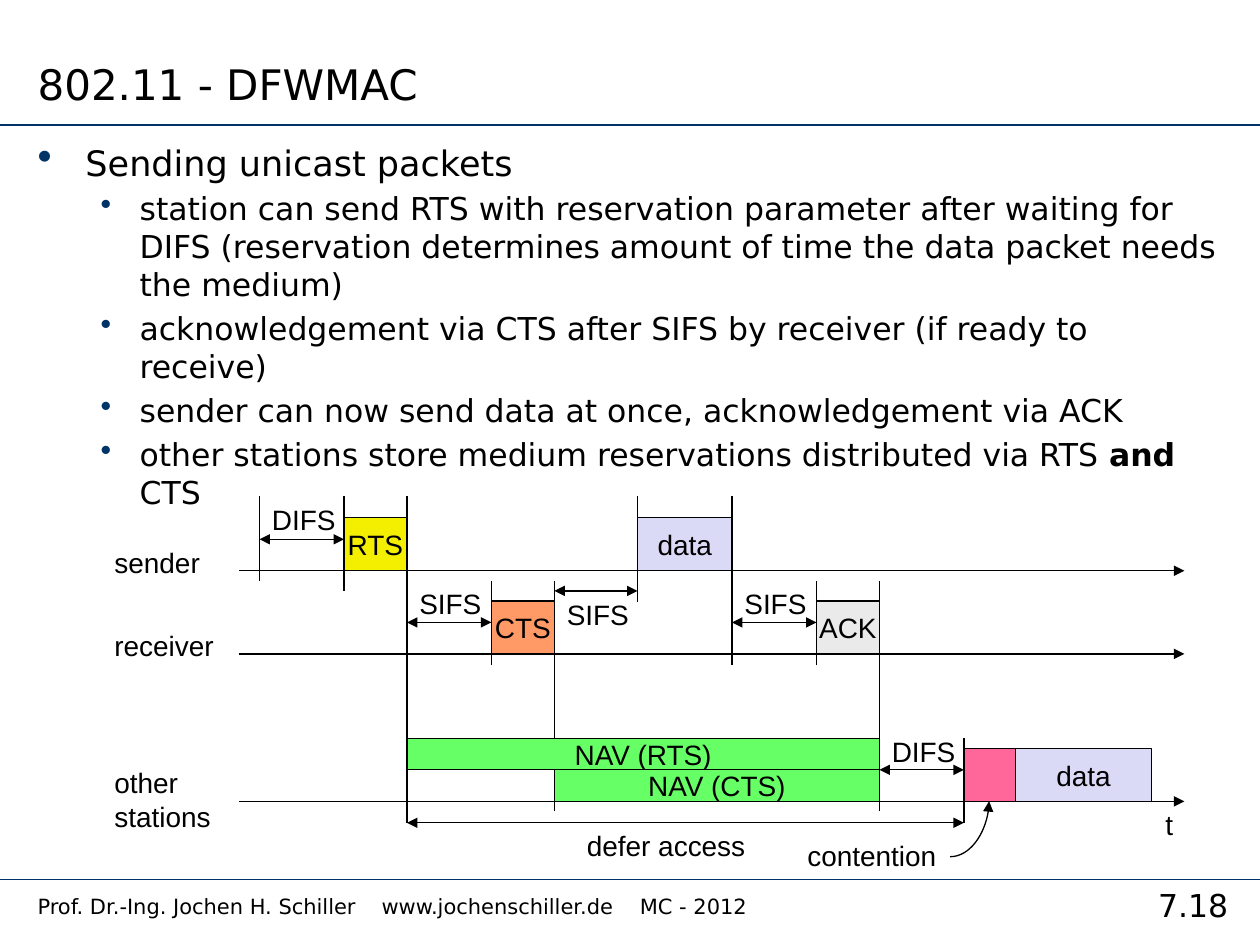
from typing import NamedTuple

import pptx
import pptx.dml.color
import pptx.enum.shapes
import pptx.enum.text
import pptx.oxml.ns
import pptx.util
from lxml import etree

Inches = pptx.util.Inches
Pt = pptx.util.Pt
PP = pptx.enum.text.PP_ALIGN
ANCHOR = pptx.enum.text.MSO_ANCHOR
AUTO = pptx.enum.text.MSO_AUTO_SIZE
CONN = pptx.enum.shapes.MSO_CONNECTOR
RECT = pptx.enum.shapes.MSO_SHAPE.RECTANGLE
qn = pptx.oxml.ns.qn

BLACK, NAVY, LILAC, GREEN = "000000", "003366", "DADAF6", "66FF66"
BODY_FONT, CHART_FONT = "DejaVu Sans", "Arial"

# Time axes (y) and instants (x)
SENDER, RECEIVER, OTHERS = 4.53, 5.19, 6.36
START, RTS, RTS_END, CTS, CTS_END = 2.06, 2.73, 3.23, 3.9, 4.4
DATA, DATA_END, ACK, ACK_END, CONTENTION = 5.06, 5.81, 6.48, 6.98, 7.65
NEXT_DATA, NEXT_END = 8.06, 9.14
AXIS_START, AXIS_END = 1.9, 9.4
FRAME_H, NAV_H = 0.42, 0.25
DEFER_Y = 6.53


class Frame(NamedTuple):
    text: str
    x: float
    end: float
    bottom: float
    color: str
    h: float = FRAME_H


class Label(NamedTuple):
    text: str
    x: float
    y: float
    w: float
    h: float = 0.37


class Span(NamedTuple):
    x: float
    end: float
    y: float


class Marker(NamedTuple):
    x: float
    top: float
    bottom: float


class Bullet(NamedTuple):
    runs: tuple
    size: int = 18
    margin: float = 0.81
    indent: float = 0.31
    level: int = 1
    scale: int = 100


def rgb(color: str):
    return pptx.dml.color.RGBColor.from_string(color)


def apply(obj, formats: dict) -> None:
    for name, value in formats.items():
        setattr(obj, name, value)


def add_run(p, text: str, size: int, font: str, bold: bool = False) -> None:
    r = p.add_run()
    r.text = text
    apply(r.font, {"name": font, "size": Pt(size), "bold": bold})
    r.font.color.rgb = rgb(BLACK)


def text_box(s, x: float, y: float, w: float, h: float, text: str = "",
             size: int = 16, font: str = CHART_FONT, align=PP.LEFT, **formats):
    tf = s.shapes.add_textbox(Inches(x), Inches(y), Inches(w), Inches(h)).text_frame
    apply(tf, {"word_wrap": True, "auto_size": AUTO.NONE} | formats)
    for i, line in enumerate(text.split("\n") if text else []):
        p = tf.add_paragraph() if i else tf.paragraphs[0]
        p.alignment = align
        add_run(p, line, size, font)
    return tf


def line(s, x1: float, y1: float, x2: float, y2: float, color: str = BLACK,
         width: float = 0.75, ends: tuple = (), kind=CONN.STRAIGHT):
    c = s.shapes.add_connector(kind, Inches(x1), Inches(y1), Inches(x2), Inches(y2))
    c.line.width = Pt(width)
    c.line.color.rgb = rgb(color)
    sp_pr = c._element.spPr
    for end in ends:
        etree.SubElement(sp_pr.find(qn("a:ln")), qn(f"a:{end}"), type="triangle")
    etree.SubElement(sp_pr, qn("a:effectLst"))
    return c


def draw_frame(s, f: Frame) -> None:
    sp = s.shapes.add_shape(RECT, Inches(f.x), Inches(f.bottom - f.h),
                            Inches(f.end - f.x), Inches(f.h))
    sp.shadow.inherit = False
    sp.fill.solid()
    sp.fill.fore_color.rgb = rgb(f.color)
    sp.line.width = Pt(0.75)
    sp.line.color.rgb = rgb(BLACK)
    if f.text:
        tf = sp.text_frame
        apply(tf, {"word_wrap": False, "vertical_anchor": ANCHOR.MIDDLE})
        tf.paragraphs[0].alignment = PP.CENTER
        add_run(tf.paragraphs[0], f.text, 16, CHART_FONT)


def draw_bullet(p, b: Bullet) -> None:
    apply(p, {"level": b.level, "space_before": Pt(b.size * 0.2)})
    pr = p._p.get_or_add_pPr()
    pr.set("marL", str(Inches(b.margin)))
    pr.set("indent", str(-Inches(b.indent)))
    etree.SubElement(etree.SubElement(pr, qn("a:buClr")), qn("a:srgbClr"), val=NAVY)
    etree.SubElement(pr, qn("a:buSzPct"), val=str(b.scale * 1000))
    etree.SubElement(pr, qn("a:buChar"), char="•")
    for text, bold in b.runs:
        add_run(p, text, b.size, BODY_FONT, bold)


BULLETS = [
    Bullet((("Sending unicast packets", False),), 20, 0.38, 0.38, 0, 120),
    Bullet((("station can send RTS with reservation parameter after waiting for DIFS "
             "(reservation determines amount of time the data packet needs the medium)",
             False),)),
    Bullet((("acknowledgement via CTS after SIFS by receiver (if ready to receive)", False),)),
    Bullet((("sender can now send data at once, acknowledgement via ACK", False),)),
    Bullet((("other stations store medium reservations distributed via RTS ", False),
            ("and", True), (" CTS", False))),
]
FRAMES = [
    Frame("RTS", RTS, RTS_END, SENDER, "F4EE00"),
    Frame("data", DATA, DATA_END, SENDER, LILAC),
    Frame("CTS", CTS, CTS_END, RECEIVER, "FF9966"),
    Frame("ACK", ACK, ACK_END, RECEIVER, "EAEAEA"),
    Frame("", CONTENTION, NEXT_DATA, OTHERS, "FF6699"),
    Frame("data", NEXT_DATA, NEXT_END, OTHERS, LILAC),
    Frame("NAV (RTS)", RTS_END, ACK_END, OTHERS - NAV_H, GREEN, NAV_H),
    Frame("NAV (CTS)", CTS_END, ACK_END, OTHERS, GREEN, NAV_H),
]
MARKERS = [
    Marker(START, 3.94, 4.61), Marker(RTS, 3.94, 4.69), Marker(RTS_END, 3.94, DEFER_Y),
    Marker(CTS, 4.61, 5.28), Marker(CTS_END, 4.61, 6.44), Marker(DATA, 3.94, 4.78),
    Marker(DATA_END, 3.94, 5.28), Marker(ACK, 4.61, 5.28), Marker(ACK_END, 4.61, 6.44),
    Marker(CONTENTION, 5.86, DEFER_Y),
]
SPANS = [
    Span(START, RTS, 4.28), Span(RTS_END, CTS, 4.94), Span(CTS_END, DATA, 4.69),
    Span(DATA_END, ACK, 4.94), Span(ACK_END, CONTENTION, 6.11),
    Span(RTS_END, CONTENTION, DEFER_Y),
]
LABELS = [
    Label("sender", 0.81, 4.28, 0.88), Label("receiver", 0.81, 4.94, 0.99),
    Label("other\nstations", 0.81, 6.03, 0.97, 0.64),
    Label("DIFS", START, 3.94, 0.71), Label("SIFS", RTS_END, 4.61, 0.69),
    Label("SIFS", CTS_END, 4.69, 0.69), Label("SIFS", DATA_END, 4.61, 0.69),
    Label("DIFS", ACK_END, 5.78, 0.71), Label("defer access", 4.56, 6.53, 1.46),
    Label("contention", 6.31, 6.61, 1.23), Label("t", 9.15, 6.36, 0.26),
]


def main() -> None:
    prs = pptx.Presentation()
    apply(prs, {"slide_width": Inches(10), "slide_height": Inches(7.5)})
    s = prs.slides.add_slide(prs.slide_layouts[6])

    # Rules, page number and footer
    for y in (0.99, 6.98):
        line(s, 0, y, 10, y, NAVY, 1)
    text_box(s, 8.94, 6.98, 1.06, 0.4, "7.18", 18, BODY_FONT, PP.CENTER)
    footer = text_box(s, 0.2, 7.04, 8.74, 0.33,
                      "Prof. Dr.-Ing. Jochen H. Schiller\twww.jochenschiller.de\tMC - 2012",
                      12, BODY_FONT)
    tabs = etree.SubElement(footer.paragraphs[0]._p.get_or_add_pPr(), qn("a:tabLst"))
    for pos in (2.73, 4.78):
        etree.SubElement(tabs, qn("a:tab"), pos=str(Inches(pos)), algn="l")

    # Title and bullets
    text_box(s, 0.2, 0, 6.61, 0.91, "802.11 - DFWMAC", 24, BODY_FONT,
             vertical_anchor=ANCHOR.BOTTOM)
    tf = text_box(s, 0.2, 1.07, 9.61, 2.84)
    for i, bullet in enumerate(BULLETS):
        draw_bullet(tf.add_paragraph() if i else tf.paragraphs[0], bullet)

    # Timing diagram
    for y in (SENDER, RECEIVER, OTHERS):
        line(s, AXIS_START, y, AXIS_END, y, ends=("tailEnd",))
    for m in MARKERS:
        line(s, m.x, m.bottom, m.x, m.top)
    for f in FRAMES:
        draw_frame(s, f)
    for sp in SPANS:
        line(s, sp.x, sp.y, sp.end, sp.y, ends=("headEnd", "tailEnd"))
    for lb in LABELS:
        text_box(s, lb.x, lb.y, lb.w, lb.h, lb.text,
                 word_wrap=False, auto_size=AUTO.SHAPE_TO_FIT_TEXT)

    # Pointer to the contention window
    curve = line(s, 7.54, 6.8, 7.85, OTHERS, ends=("tailEnd",), kind=CONN.CURVE)
    curve._element.spPr.find(qn("a:prstGeom")).set("prst", "curvedConnector2")

    prs.save("out.pptx")


if __name__ == "__main__":
    main()
